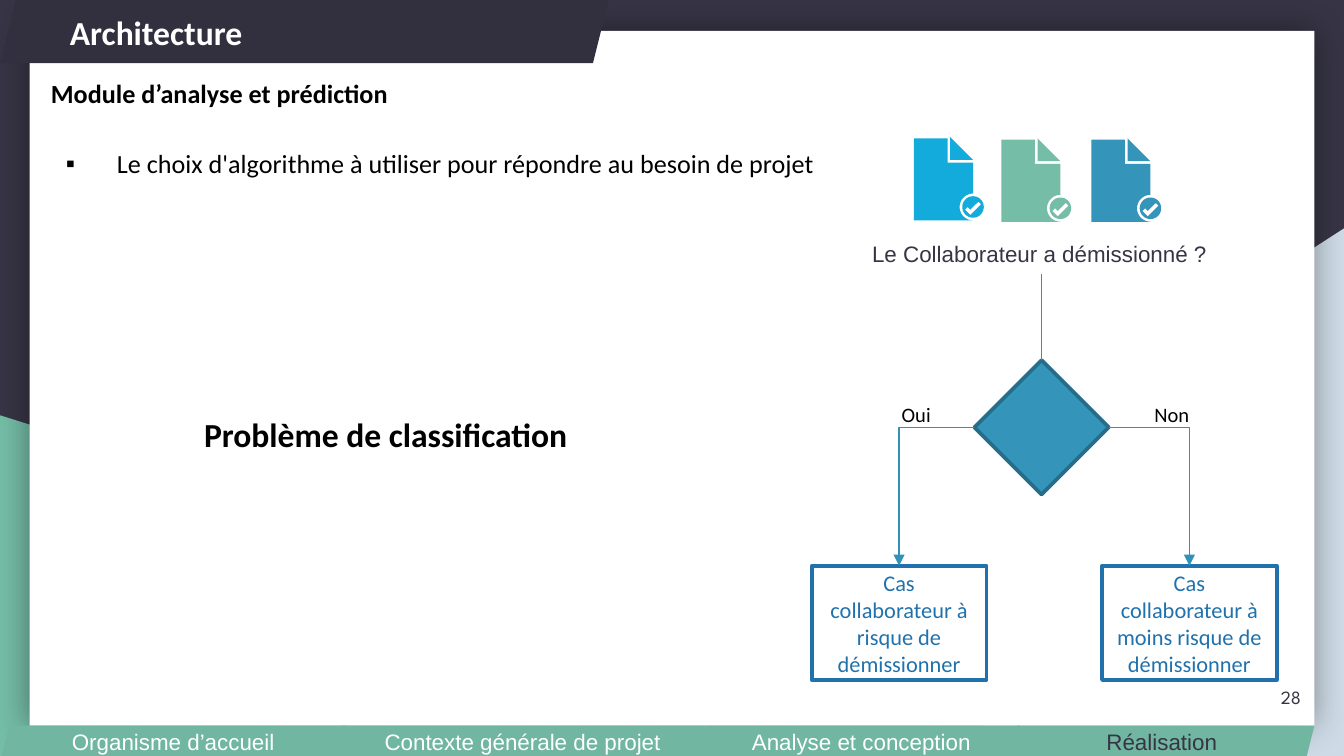
from math import cos, radians, sin

from lxml.etree import SubElement
from pptx import Presentation
from pptx.dml.color import RGBColor
from pptx.enum.shapes import MSO_CONNECTOR as LINK, MSO_SHAPE as SHAPE
from pptx.enum.text import MSO_ANCHOR as ANCHOR, MSO_AUTO_SIZE as AUTO, PP_ALIGN as ALIGN
from pptx.oxml.ns import qn
from pptx.util import Inches, Pt

COLORS = {
    "night": "373545", "banner": "32303F", "mist": "CEDBE6", "green": "75BDA7",
    "footer": "70B6A0", "white": "FFFFFF", "black": "000000", "sky": "12ABDB",
    "blue": "3494BA", "edge": "266D8A", "link": "3092B9", "case": "2172AC",
}


def rgb(name):
    """Return the named colour."""
    return RGBColor.from_string(COLORS[name])


def place(shape, box):
    """Move and size a shape to left, top, width, height in inches."""
    shape.left, shape.top, shape.width, shape.height = map(Inches, box)


def write(shape, text, size, color, font="Calibri", bold=False,
          align=ALIGN.LEFT, anchor=ANCHOR.TOP, wrap=True):
    """Put one formatted paragraph into a shape."""
    frame = shape.text_frame
    frame.text = text
    frame.auto_size = AUTO.NONE
    frame.word_wrap = wrap
    frame.vertical_anchor = anchor
    paragraph = frame.paragraphs[0]
    paragraph.alignment = align
    style = paragraph.runs[0].font
    style.size, style.name, style.bold = Pt(size), font, bold
    style.color.rgb = rgb(color)
    return paragraph


def add_block(slide, kind, box, fill=None, line=None):
    """Add a preset shape with optional fill and 2 pt outline."""
    block = slide.shapes.add_shape(kind, *map(Inches, box))
    block.shadow.inherit = False
    if fill:
        block.fill.solid()
        block.fill.fore_color.rgb = rgb(fill)
    else:
        block.fill.background()
    if line:
        block.line.color.rgb = rgb(line)
        block.line.width = Pt(2)
    else:
        block.line.fill.background()
    return block


def add_label(slide, box, text, size, color="black", **style):
    """Add a text box."""
    label = slide.shapes.add_textbox(*map(Inches, box))
    write(label, text, size, color, **style)


def add_backdrop(slide):
    """Draw the coloured corners, the white panel with its soft shadow and the banner."""
    slide.background.fill.solid()
    slide.background.fill.fore_color.rgb = rgb("night")
    corner = add_block(slide, SHAPE.RIGHT_TRIANGLE, (3.92, 1.7, 6.08, 3.93), "mist")
    corner.element.spPr.find(qn("a:xfrm")).set("flipH", "1")
    add_block(slide, SHAPE.RIGHT_TRIANGLE, (0, 3.09, 8.06, 2.54), "green")
    panel = add_block(slide, SHAPE.RECTANGLE, (0.22, 0.23, 9.56, 5.17), "white")
    effects = panel.element.spPr.find(qn("a:effectLst"))
    glow = SubElement(effects, qn("a:outerShdw"), blurRad=str(Pt(18)), dist="0",
                      algn="ctr", rotWithShape="0")
    shade = SubElement(glow, qn("a:srgbClr"), val=COLORS["black"])
    SubElement(shade, qn("a:alpha"), val="40000")
    add_block(slide, SHAPE.PARALLELOGRAM, (0, 0, 4.53, 0.47), "banner")


def bring_to_front(shape):
    """Move a shape to the top of the stack."""
    shape.element.getparent().append(shape.element)


def fill_title(title):
    """Set the heading over the banner."""
    bring_to_front(title)
    place(title, (0.42, 0, 3.69, 0.47))
    write(title, "Architecture", 18, "white", bold=True, anchor=ANCHOR.MIDDLE)


def fill_body(body):
    """Set the bulleted sentence in the body placeholder."""
    bring_to_front(body)
    place(body, (0.39, 0.93, 6.88, 0.42))
    sentence = write(body, "Le choix d'algorithme à utiliser pour répondre au besoin de projet",
                     14, "black")
    sentence.line_spacing = 1.5
    sentence.space_before = Pt(0)
    props = sentence._p.get_or_add_pPr()
    props.set("marL", str(Inches(0.38)))
    props.set("indent", str(-Inches(0.38)))
    tint = SubElement(props, qn("a:buClr"))
    SubElement(tint, qn("a:srgbClr"), val=COLORS["black"])
    SubElement(props, qn("a:buFont"), typeface="Arial")
    SubElement(props, qn("a:buChar"), char="▪")


def arc(x, y, radius, start, stop):
    """List points along an arc, every ten degrees."""
    step = 10 if stop > start else -10
    return [(x + radius * cos(radians(a)), y + radius * sin(radians(a)))
            for a in range(start, stop + step, step)]


def add_document(slide, left, top, color):
    """Draw a document with a folded corner and a check badge."""
    page = [(0, 0.01), (0.25, 0.01), (0.25, 0.19), (0.44, 0.19),
            *arc(0.44, 0.52, 0.1, 270, 90), (0, 0.62)]
    fold = [(0.27, 0), (0.44, 0.17), (0.27, 0.17)]
    badge = arc(0.44, 0.52, 0.08, 0, 350)
    check = [(0.48, 0.48), (0.42, 0.54), (0.4, 0.52), (0.38, 0.54), (0.42, 0.58), (0.5, 0.5)]
    builder = None
    for contour in (page, fold, badge, check):
        points = [(Inches(left + x), Inches(top + y)) for x, y in contour]
        if builder is None:
            builder = slide.shapes.build_freeform(*points[0])
        else:
            builder.move_to(*points[0])
        builder.add_line_segments(points[1:], close=True)
    document = builder.convert_to_shape()
    document.shadow.inherit = False
    document.fill.solid()
    document.fill.fore_color.rgb = rgb(color)
    document.line.fill.background()


def add_link(slide, kind, start, end):
    """Add a thin connector without shadow."""
    link = slide.shapes.add_connector(kind, *map(Inches, (*start, *end)))
    link.line.color.rgb = rgb("link")
    link.line.width = Pt(0.75)
    SubElement(link.element.spPr, qn("a:effectLst"))
    return link


def add_branch(slide, decision, side, case):
    """Join a corner of the decision to the top of a case with an arrow."""
    branch = add_link(slide, LINK.ELBOW, (7.75, 3.18), (7.75, 4.21))
    branch.begin_connect(decision, side)
    branch.end_connect(case, 0)
    branch.element.spPr.find(qn("a:prstGeom")).set("prst", "bentConnector2")
    SubElement(branch.element.spPr.find(qn("a:ln")), qn("a:tailEnd"), type="triangle")


def add_decision_tree(slide):
    """Draw the question, the decision and its two outcomes."""
    for left, top, color in ((6.8, 1.02, "sky"), (7.45, 1.03, "green"), (8.12, 1.03, "blue")):
        add_document(slide, left, top, color)
    add_label(slide, (6.39, 1.74, 2.71, 0.3), "Le Collaborateur a démissionné ?", 12,
              "night", font="Arial", wrap=False)
    decision = add_block(slide, SHAPE.DIAMOND, (7.25, 2.68, 1, 1), "blue", "edge")
    add_link(slide, LINK.STRAIGHT, (7.75, 2.04), (7.75, 2.68))
    outcomes = (
        (6.04, "Cas collaborateur à risque de démissionner", 1, "Oui", 6.61, 0.42),
        (8.2, "Cas collaborateur à moins risque de démissionner", 3, "Non", 8.49, 0.46),
    )
    for left, text, side, answer, answer_left, answer_width in outcomes:
        case = add_block(slide, SHAPE.RECTANGLE, (left, 4.21, 1.3, 0.85), line="case")
        write(case, text, 12, "case", align=ALIGN.CENTER, anchor=ANCHOR.MIDDLE)
        add_branch(slide, decision, side, case)
        add_label(slide, (answer_left, 2.94, answer_width, 0.29), answer, 11, wrap=False)


def add_footer(slide):
    """Draw the chapter strip, with the current chapter in dark text."""
    chapters = ((0.01, 2.56, "Organisme d’accueil", "white"),
                (5.23, 2.36, "Analyse et conception", "white"),
                (7.51, 2.27, "Réalisation", "night"),
                (2.49, 2.8, "Contexte générale de projet", "white"))
    for left, width, chapter, color in chapters:
        tab = add_block(slide, SHAPE.PARALLELOGRAM, (left, 5.4, width, 0.24), "footer")
        write(tab, chapter, 12, color, font="Arial", align=ALIGN.CENTER, anchor=ANCHOR.MIDDLE)


def main():
    """Build the slide and save it."""
    deck = Presentation()
    deck.slide_width, deck.slide_height = Inches(10), Inches(10 * 9 / 16)
    slide = deck.slides.add_slide(deck.slide_layouts[1])
    add_backdrop(slide)
    fill_title(slide.shapes.title)
    add_label(slide, (0.28, 0.53, 2.86, 0.34), "Module d’analyse et prédiction", 14, bold=True)
    fill_body(slide.placeholders[1])
    add_label(slide, (1.42, 3.03, 2.93, 0.4), "Problème de classification", 18,
              bold=True, wrap=False)
    add_decision_tree(slide)
    add_label(slide, (9.18, 4.97, 0.6, 0.43), "28", 10, "night", font="League Spartan",
              align=ALIGN.RIGHT, anchor=ANCHOR.MIDDLE)
    add_footer(slide)
    deck.save("out.pptx")


main()
